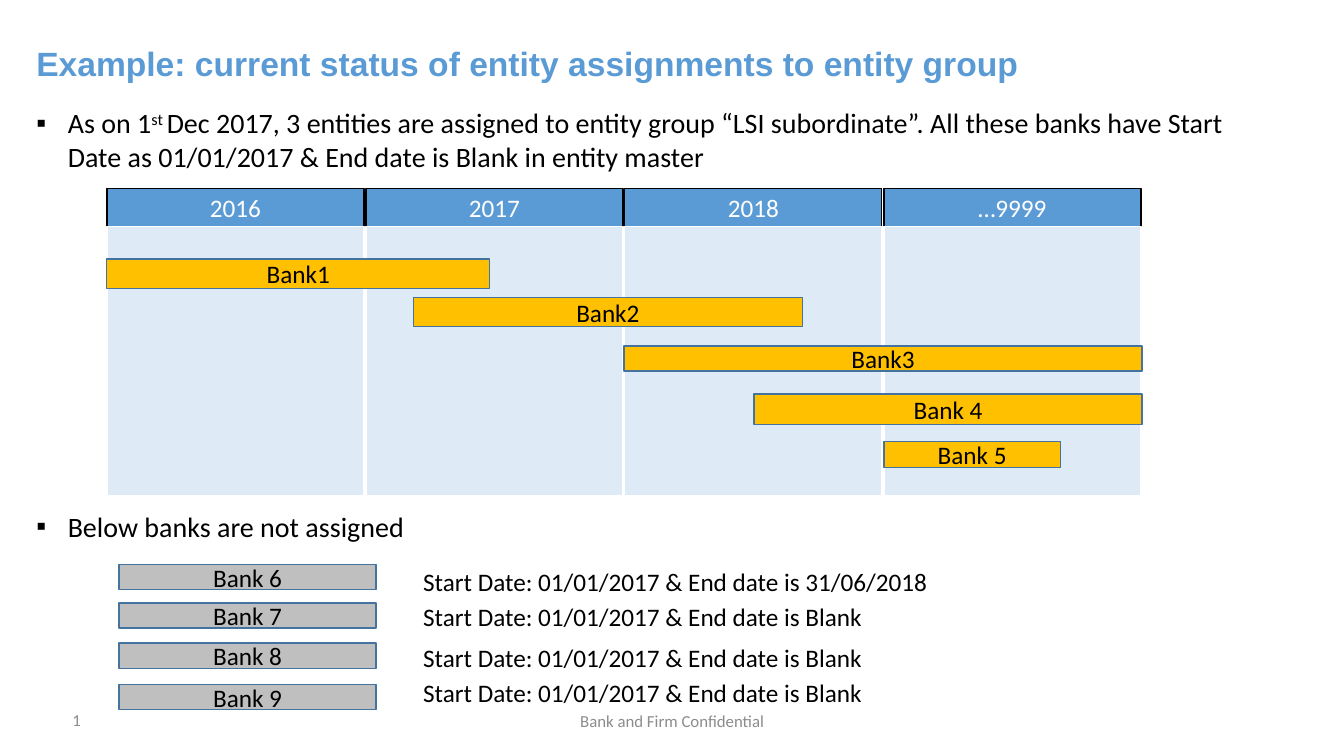
from lxml import etree
from pptx import Presentation
from pptx.dml.color import RGBColor
from pptx.enum.shapes import MSO_SHAPE
from pptx.enum.text import MSO_ANCHOR, MSO_AUTO_SIZE, PP_ALIGN
from pptx.oxml.ns import qn
from pptx.util import Pt

RECT = MSO_SHAPE.RECTANGLE
TOP, MIDDLE = MSO_ANCHOR.TOP, MSO_ANCHOR.MIDDLE
FIXED = MSO_AUTO_SIZE.NONE
LEFT, CENTER, JUSTIFY = PP_ALIGN.LEFT, PP_ALIGN.CENTER, PP_ALIGN.JUSTIFY

BLUE = RGBColor(0x5B, 0x9B, 0xD5)
PALE = RGBColor(0xDE, 0xEB, 0xF7)
GOLD = RGBColor(0xFF, 0xC0, 0x00)
SILVER = RGBColor(0xBF, 0xBF, 0xBF)
EDGE = RGBColor(0x43, 0x73, 0x9E)
GRAY = RGBColor(0x8C, 0x8C, 0x8C)
BLACK = RGBColor(0, 0, 0)
WHITE = RGBColor(255, 255, 255)

YEARS = ["2016", "2017", "2018", "…9999"]
GRID_X, PITCH, COL_W = 76.3, 185, 183.6
HEAD_Y, HEAD_H, BODY_H = 134.6, 27.4, 192.2

ASSIGNED = [
    ("Bank1", 76.3, 185, 273.6, 21),
    ("Bank2", 295.2, 212.4, 278, 21),
    ("Bank3", 445.7, 247, 370, 18),
    ("Bank 4", 538.6, 281.5, 277.2, 21.6),
    ("Bank 5", 631.4, 315.4, 126, 18.7),
]

BLANK = "Start Date: 01/01/2017 & End date is Blank"
FREE = [
    ("Bank 6", 403.2, "Start Date: 01/01/2017 & End date is 31/06/2018", 401),
    ("Bank 7", 430.6, BLANK, 426.2),
    ("Bank 8", 459.4, BLANK, 455),
    ("Bank 9", 488.9, BLANK, 480.2),
]


def place(shape, x, y, w, h):
    shape.left, shape.top = Pt(x), Pt(y)
    shape.width, shape.height = Pt(w), Pt(h)


def style(para, size, color, align=LEFT, face="Calibri", bold=False):
    para.alignment = align
    for run in para.runs:
        font = run.font
        font.name, font.size, font.bold = face, Pt(size), bold
        font.color.rgb = color


def box(slide, text, x, y, w, h, fill, line, color=BLACK):
    shape = slide.shapes.add_shape(RECT, Pt(x), Pt(y), Pt(w), Pt(h))
    shape.shadow.inherit = False
    shape.fill.solid()
    shape.fill.fore_color.rgb = fill
    shape.line.color.rgb = line
    shape.line.width = Pt(1)
    if text:
        frame = shape.text_frame
        frame.text = text
        frame.vertical_anchor = MIDDLE
        style(frame.paragraphs[0], 18, color, CENTER)


def label(slide, text, x, y, w, h, size, color, align=LEFT, anchor=TOP):
    frame = slide.shapes.add_textbox(Pt(x), Pt(y), Pt(w), Pt(h)).text_frame
    frame.word_wrap = True
    frame.vertical_anchor = anchor
    frame.text = text
    style(frame.paragraphs[0], size, color, align)


def head(slide, text):
    title = slide.shapes.title
    place(title, 18.7, 30.2, 831.6, 41)
    frame = title.text_frame
    frame.text = text
    frame.vertical_anchor = TOP
    frame.auto_size = FIXED
    para = frame.paragraphs[0]
    para.line_spacing = 0.9
    style(para, 24, BLUE, JUSTIFY, "Arial", True)


def bullet(para, gap):
    style(para, 20, BLACK)
    para.space_before = Pt(gap)
    props = para._p.get_or_add_pPr()
    props.set("marL", str(Pt(22.5)))
    props.set("indent", str(Pt(-22.5)))
    etree.SubElement(props, qn("a:buFont")).set("typeface", "Arial")
    etree.SubElement(props, qn("a:buChar")).set("char", "▪")


def notes(slide):
    body = slide.placeholders[1]
    place(body, 18.7, 72, 901.4, 322.6)
    frame = body.text_frame
    frame.auto_size = FIXED
    frame.vertical_anchor = TOP
    first, last = frame.paragraphs[0], frame.add_paragraph()
    parts = [
        "As on 1",
        "st ",
        "Dec 2017, 3 entities are assigned to entity group “LSI subordinate”. "
        "All these banks have Start Date as 01/01/2017 & End date is Blank "
        "in entity master",
    ]
    for part in parts:
        first.add_run().text = part
    last.text = "Below banks are not assigned"
    bullet(first, 0)
    bullet(last, 240)
    first.runs[1].font._element.set("baseline", "30000")


def grid(slide):
    for i, year in enumerate(YEARS):
        x = GRID_X + i * PITCH
        box(slide, year, x, HEAD_Y, COL_W, HEAD_H, BLUE, BLACK, WHITE)
        box(slide, "", x, HEAD_Y + HEAD_H, COL_W, BODY_H, PALE, WHITE)


def main():
    deck = Presentation()
    deck.slide_width, deck.slide_height = Pt(960), Pt(540)
    slide = deck.slides.add_slide(deck.slide_layouts[1])
    head(slide, "Example: current status of entity assignments to entity group")
    notes(slide)
    label(slide, "Bank and Firm Confidential", 318.2, 500.4, 324, 28.8,
          12, GRAY, CENTER, MIDDLE)
    label(slide, "1", 44.6, 499.7, 216, 28.8, 12, GRAY, LEFT, MIDDLE)
    grid(slide)
    for name, x, y, w, h in ASSIGNED:
        box(slide, name, x, y, w, h, GOLD, EDGE)
    for name, y, dates, text_y in FREE:
        box(slide, name, 85, y, COL_W, 18, SILVER, EDGE)
        label(slide, dates, 295.2, text_y, 380, 29, 18, BLACK)
    deck.save("out.pptx")


main()
